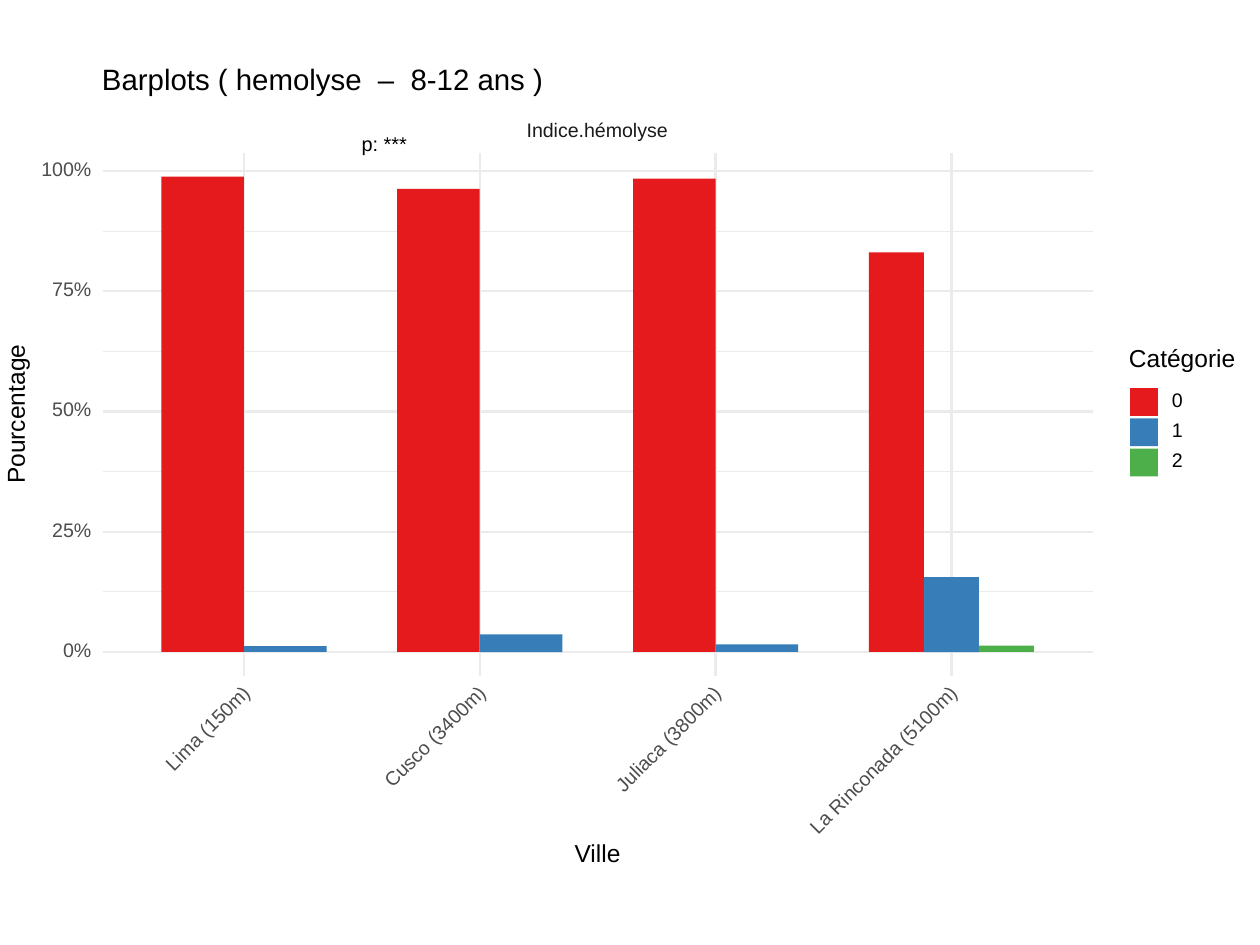
from dataclasses import dataclass
from math import cos, radians

from lxml.etree import SubElement
from pptx import Presentation
from pptx.dml.color import RGBColor
from pptx.enum.shapes import MSO_CONNECTOR as Connector, MSO_SHAPE as Preset
from pptx.enum.text import MSO_ANCHOR as Anchor, PP_ALIGN as Align
from pptx.oxml.ns import qn
from pptx.util import Inches, Pt


@dataclass(frozen=True)
class Theme:
    font: str = "Arial"
    paper: str = "FFFFFF"
    grid: str = "EBEBEB"
    ink: str = "000000"
    strip_ink: str = "1A1A1A"
    tick_ink: str = "4D4D4D"
    categories: tuple[str, ...] = ("E41A1C", "377EB8", "4DAF4A")
    title_size: float = 16.8
    axis_size: float = 14
    note_size: float = 11.4
    small_size: float = 11.2
    minor_line: float = 0.68
    major_line: float = 1.36


@dataclass(frozen=True)
class Label:
    text: str
    center_x: float
    center_y: float
    width: float
    height: float
    size: float
    color: str
    rotation: float = 0
    align: Align = Align.LEFT


@dataclass(frozen=True)
class City:
    name: str
    name_width: float
    percentages: tuple[float, ...]


@dataclass(frozen=True)
class Plot:
    left: float = 8.14
    width: float = 78.6
    top: float = 16.18
    bottom: float = 71.5
    zero: float = 69
    hundred: float = 18.1
    columns: float = 4.2
    margin_columns: float = 0.6
    group_columns: float = 0.7

    @property
    def column(self) -> float:
        return self.width / self.columns

    def center(self, index: int) -> float:
        return self.left + (self.margin_columns + index) * self.column

    def level(self, percentage: float) -> float:
        return self.zero + (self.hundred - self.zero) * percentage / 100


THEME = Theme()
PLOT = Plot()
SLIDE_WIDTH, SLIDE_HEIGHT = Inches(10), Inches(7.5)
ASPECT = SLIDE_WIDTH / SLIDE_HEIGHT
CITIES = (
    City("Lima (150m)", 8.7, (98.8, 1.2)),
    City("Cusco (3400m)", 10.6, (96.3, 3.7)),
    City("Juliaca (3800m)", 11.1, (98.4, 1.6)),
    City("La Rinconada (5100m)", 15.8, (83.1, 15.6, 1.3)),
)
HEADINGS = (
    Label("p: ***", 30.9, 15.4, 4.4, 2, THEME.note_size, THEME.ink),
    Label("Indice.hémolyse", 47.6, 13.93, 11.6, 2, THEME.small_size, THEME.strip_ink),
    Label("Ville", 47.55, 90.53, 3.9, 1.87, THEME.axis_size, THEME.ink),
    Label("Pourcentage", 1.4, 43.47, 11.6, 2.4, THEME.axis_size, THEME.ink, 270),
    Label("Catégorie", 94.1, 38.07, 9, 2.53, THEME.axis_size, THEME.ink),
    Label("Barplots ( hemolyse  –  8-12 ans )", 26.1, 8.67, 36, 2.93,
          THEME.title_size, THEME.ink),
)


def across(share: float) -> int:
    return round(SLIDE_WIDTH * share / 100)


def down(share: float) -> int:
    return round(SLIDE_HEIGHT * share / 100)


def draw_rectangle(slide, left: float, top: float, width: float, height: float, color: str):
    shape = slide.shapes.add_shape(
        Preset.RECTANGLE, across(left), down(top), across(width), down(height))
    shape.shadow.inherit = False
    shape.fill.solid()
    shape.fill.fore_color.rgb = RGBColor.from_string(color)
    shape.line.fill.background()
    return shape


def draw_grid_line(slide, x1: float, y1: float, x2: float, y2: float, weight: float) -> None:
    line = slide.shapes.add_connector(
        Connector.STRAIGHT, across(x1), down(y1), across(x2), down(y2))
    line.line.color.rgb = RGBColor.from_string(THEME.grid)
    line.line.width = Pt(weight)
    SubElement(line._element.spPr, qn("a:effectLst"))


def draw_label(slide, label: Label) -> None:
    box = slide.shapes.add_textbox(
        across(label.center_x - label.width / 2), down(label.center_y - label.height / 2),
        across(label.width), down(label.height))
    box.rotation = label.rotation
    frame = box.text_frame
    frame.margin_left = frame.margin_right = frame.margin_top = frame.margin_bottom = 0
    frame.word_wrap = False
    frame.vertical_anchor = Anchor.MIDDLE
    frame.text = label.text
    paragraph = frame.paragraphs[0]
    paragraph.alignment = label.align
    paragraph.line_spacing = Pt(label.size)
    font = paragraph.runs[0].font
    font.name = THEME.font
    font.size = Pt(label.size)
    font.color.rgb = RGBColor.from_string(label.color)


def draw_grid(slide) -> None:
    right = PLOT.left + PLOT.width
    for first, weight in ((12.5, THEME.minor_line), (0, THEME.major_line)):
        for step in range(4 if first else 5):
            y = PLOT.level(first + 25 * step)
            draw_grid_line(slide, PLOT.left, y, right, y, weight)
    for index in range(len(CITIES)):
        x = PLOT.center(index)
        draw_grid_line(slide, x, PLOT.bottom, x, PLOT.top, THEME.major_line)


def draw_bars(slide, index: int, city: City) -> None:
    group_width = PLOT.group_columns * PLOT.column
    bar_width = group_width / len(city.percentages)
    left = PLOT.center(index) - group_width / 2
    for position, (value, color) in enumerate(zip(city.percentages, THEME.categories)):
        top = PLOT.level(value)
        draw_rectangle(slide, left + position * bar_width, top,
                       bar_width, PLOT.zero - top, color)


def draw_city_name(slide, index: int, city: City) -> None:
    reach = city.name_width / 2 * cos(radians(45))
    draw_label(slide, Label(
        city.name, PLOT.center(index) + 0.25 - reach, 73.05 + reach * ASPECT,
        city.name_width, 2, THEME.small_size, THEME.tick_ink, 315))


def draw_ticks(slide) -> None:
    for percentage in range(0, 101, 25):
        draw_label(slide, Label(
            f"{percentage}%", 5.25, PLOT.level(percentage) - 0.05, 4, 1.47,
            THEME.small_size, THEME.tick_ink, align=Align.RIGHT))


def draw_legend(slide) -> None:
    key_width, pitch = 2.2, 3.2
    for index, color in enumerate(THEME.categories):
        draw_rectangle(slide, 89.7, 41.07 + index * pitch, key_width, key_width * ASPECT, color)
        draw_label(slide, Label(
            str(index), 93.45, 42.5 + index * pitch, 0.9, 1.47, THEME.small_size, THEME.ink))


def main() -> None:
    presentation = Presentation()
    presentation.slide_width, presentation.slide_height = SLIDE_WIDTH, SLIDE_HEIGHT
    slide = presentation.slides.add_slide(presentation.slide_layouts[6])
    panel = draw_rectangle(slide, 0, 6.67, 100, 86.67, THEME.paper)
    panel.line.color.rgb = RGBColor.from_string(THEME.paper)
    panel.line.width = Pt(0.75)
    draw_grid(slide)
    for index, city in enumerate(CITIES):
        draw_bars(slide, index, city)
        draw_city_name(slide, index, city)
    draw_ticks(slide)
    draw_legend(slide)
    for heading in HEADINGS:
        draw_label(slide, heading)
    presentation.save("out.pptx")


if __name__ == "__main__":
    main()
